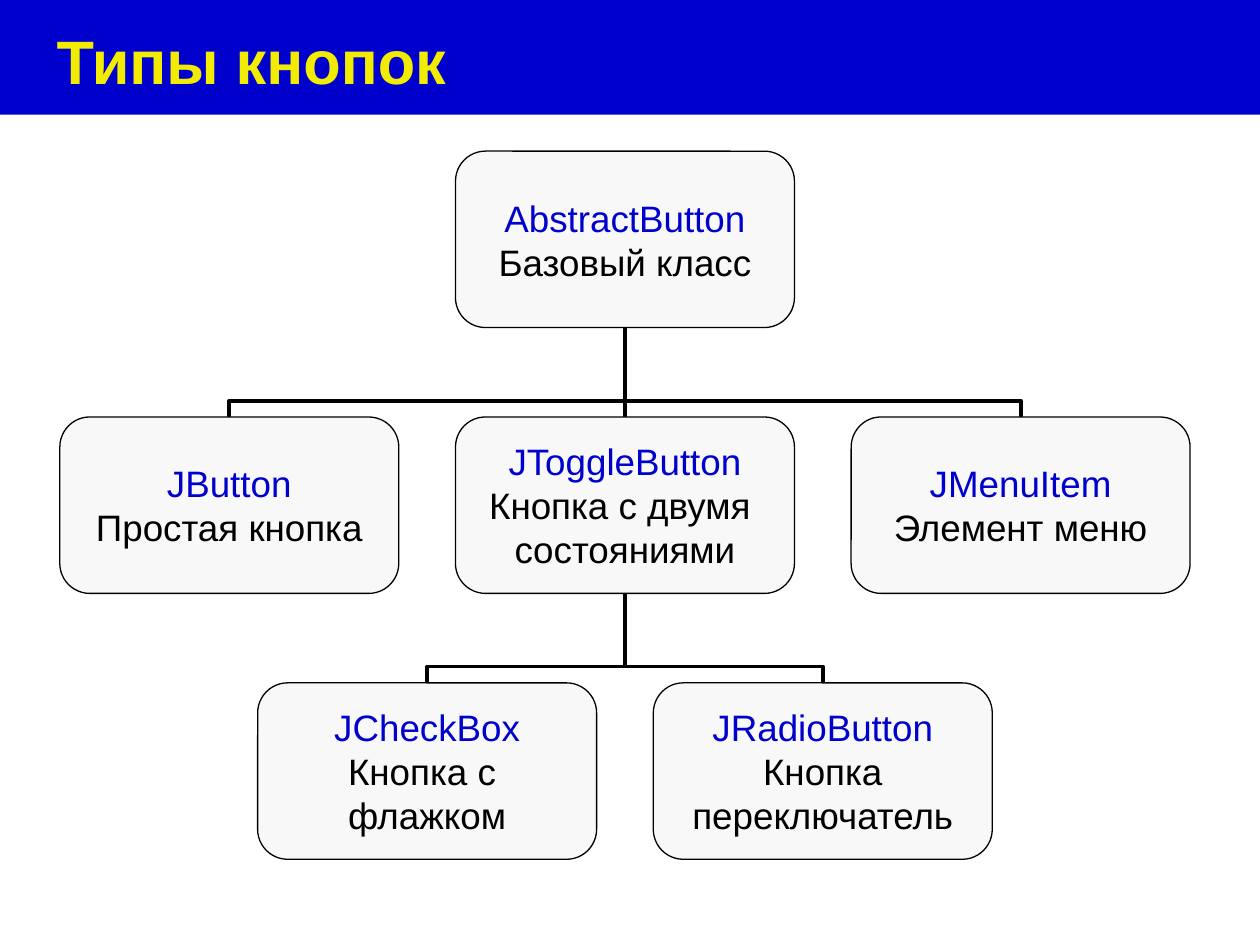
from dataclasses import dataclass

from pptx import Presentation
from pptx.dml.color import RGBColor
from pptx.enum.shapes import MSO_CONNECTOR, MSO_SHAPE
from pptx.enum.text import MSO_ANCHOR, MSO_AUTO_SIZE, PP_ALIGN
from pptx.oxml.ns import qn
from pptx.util import Inches, Pt

ELBOW, STRAIGHT = MSO_CONNECTOR.ELBOW, MSO_CONNECTOR.STRAIGHT
RECTANGLE, ROUNDED = MSO_SHAPE.RECTANGLE, MSO_SHAPE.ROUNDED_RECTANGLE
MIDDLE, NO_AUTOFIT = MSO_ANCHOR.MIDDLE, MSO_AUTO_SIZE.NONE
CENTER, LEFT = PP_ALIGN.CENTER, PP_ALIGN.LEFT
TITLE_ONLY, TOP_SITE, BOTTOM_SITE = 5, 0, 2
QUARTER_TURN = 90 * 60000

BOX_WIDTH, BOX_HEIGHT = 2.69, 1.4
CENTER_X, COLUMN_PITCH = 4.96, 3.14
FIRST_TOP, ROW_PITCH = 1.2, 2.11

CLASSES = [
    ("AbstractButton", ["Базовый класс"], 0, 0, None),
    ("JButton", ["Простая кнопка"], -1, 1, "AbstractButton"),
    ("JToggleButton", ["Кнопка с двумя ", "состояниями"], 0, 1, "AbstractButton"),
    ("JMenuItem", ["Элемент меню"], 1, 1, "AbstractButton"),
    ("JCheckBox", ["Кнопка с ", "флажком"], -0.5, 2, "JToggleButton"),
    ("JRadioButton", ["Кнопка", "переключатель"], 0.5, 2, "JToggleButton"),
]


@dataclass(frozen=True)
class Theme:
    font: str = "Arial"
    title_size: float = 35
    box_size: float = 21
    outline: float = 0.75
    branch: float = 2.25
    blue: RGBColor = RGBColor(0x00, 0x00, 0xCC)
    yellow: RGBColor = RGBColor(0xF2, 0xEC, 0x00)
    pale: RGBColor = RGBColor(0xF8, 0xF8, 0xF8)
    black: RGBColor = RGBColor(0x00, 0x00, 0x00)


class ClassTreeSlide:
    """Draws a titled class hierarchy on one slide."""

    def __init__(self, slide, theme):
        self.slide = slide
        self.theme = theme

    def send_to_back(self, shape):
        self.slide.shapes.element.insert(2, shape.element)

    def add_run(self, paragraph, text, size, color, bold=False):
        run = paragraph.add_run()
        run.text = text
        run.font.name = self.theme.font
        run.font.size = Pt(size)
        run.font.bold = bold
        run.font.color.rgb = color

    def add_band(self, width, height):
        band = self.slide.shapes.add_shape(RECTANGLE, 0, 0, Inches(width), Inches(height))
        band.shadow.inherit = False
        band.fill.solid()
        band.fill.fore_color.rgb = self.theme.blue
        band.line.fill.background()
        self.send_to_back(band)

    def add_title(self, text):
        title = self.slide.shapes.title
        title.left, title.top = Inches(0.35), Inches(0.13)
        title.width, title.height = Inches(9.65), Inches(0.7)
        frame = title.text_frame
        frame.auto_size = NO_AUTOFIT
        frame.vertical_anchor = MIDDLE
        paragraph = frame.paragraphs[0]
        paragraph.alignment = LEFT
        self.add_run(paragraph, text, self.theme.title_size, self.theme.yellow, bold=True)

    def add_box(self, name, description, column, row):
        left = CENTER_X + column * COLUMN_PITCH - BOX_WIDTH / 2
        top = FIRST_TOP + row * ROW_PITCH
        box = self.slide.shapes.add_shape(
            ROUNDED, Inches(left), Inches(top), Inches(BOX_WIDTH), Inches(BOX_HEIGHT)
        )
        box.adjustments[0] = 0.17
        box.shadow.inherit = False
        box.fill.solid()
        box.fill.fore_color.rgb = self.theme.pale
        box.line.color.rgb = self.theme.black
        box.line.width = Pt(self.theme.outline)
        frame = box.text_frame
        frame.word_wrap = False
        frame.vertical_anchor = MIDDLE
        frame.margin_left = frame.margin_right = frame.margin_top = frame.margin_bottom = 0
        for index, text in enumerate([name, *description]):
            paragraph = frame.add_paragraph() if index else frame.paragraphs[0]
            paragraph.alignment = CENTER
            color = self.theme.black if index else self.theme.blue
            self.add_run(paragraph, text, self.theme.box_size, color)
        return box

    def add_branch(self, child, parent):
        start_x, start_y = child.left + child.width // 2, child.top
        end_x, end_y = parent.left + parent.width // 2, parent.top + parent.height
        run, rise = abs(end_x - start_x), start_y - end_y
        kind = ELBOW if run else STRAIGHT
        branch = self.slide.shapes.add_connector(kind, start_x, start_y, end_x, end_y)
        branch.begin_connect(child, TOP_SITE)
        branch.end_connect(parent, BOTTOM_SITE)
        branch.line.color.rgb = self.theme.black
        branch.line.width = Pt(self.theme.branch)
        properties = branch.element.spPr
        properties.append(properties.makeelement(qn("a:effectLst"), {}))
        if run:
            self.turn_upward(branch, start_x < end_x, run, rise)
        self.send_to_back(branch)

    def turn_upward(self, branch, from_left, run, rise):
        center_x = branch.left + branch.width // 2
        center_y = branch.top + branch.height // 2
        branch.left, branch.top = center_x - rise // 2, center_y - run // 2
        branch.width, branch.height = rise, run
        transform = branch.element.spPr.find(qn("a:xfrm"))
        transform.set("rot", str(QUARTER_TURN * (1 if from_left else 3)))
        transform.set("flipH", "1" if from_left else "0")
        transform.set("flipV", "1")
        geometry = branch.element.spPr.find(qn("a:prstGeom"))
        guides = geometry.get_or_add_avLst()
        guide = guides.makeelement(qn("a:gd"), {"name": "adj1", "fmla": "val 18300"})
        guides.append(guide)


def main():
    presentation = Presentation()
    presentation.slide_width, presentation.slide_height = Inches(10), Inches(7.5)
    slide = presentation.slides.add_slide(presentation.slide_layouts[TITLE_ONLY])
    tree = ClassTreeSlide(slide, Theme())
    tree.add_title("Типы кнопок")
    boxes = {}
    for name, description, column, row, parent in CLASSES:
        boxes[name] = tree.add_box(name, description, column, row)
        if parent:
            tree.add_branch(boxes[name], boxes[parent])
    tree.add_band(10, 0.91)
    presentation.save("out.pptx")


if __name__ == "__main__":
    main()
